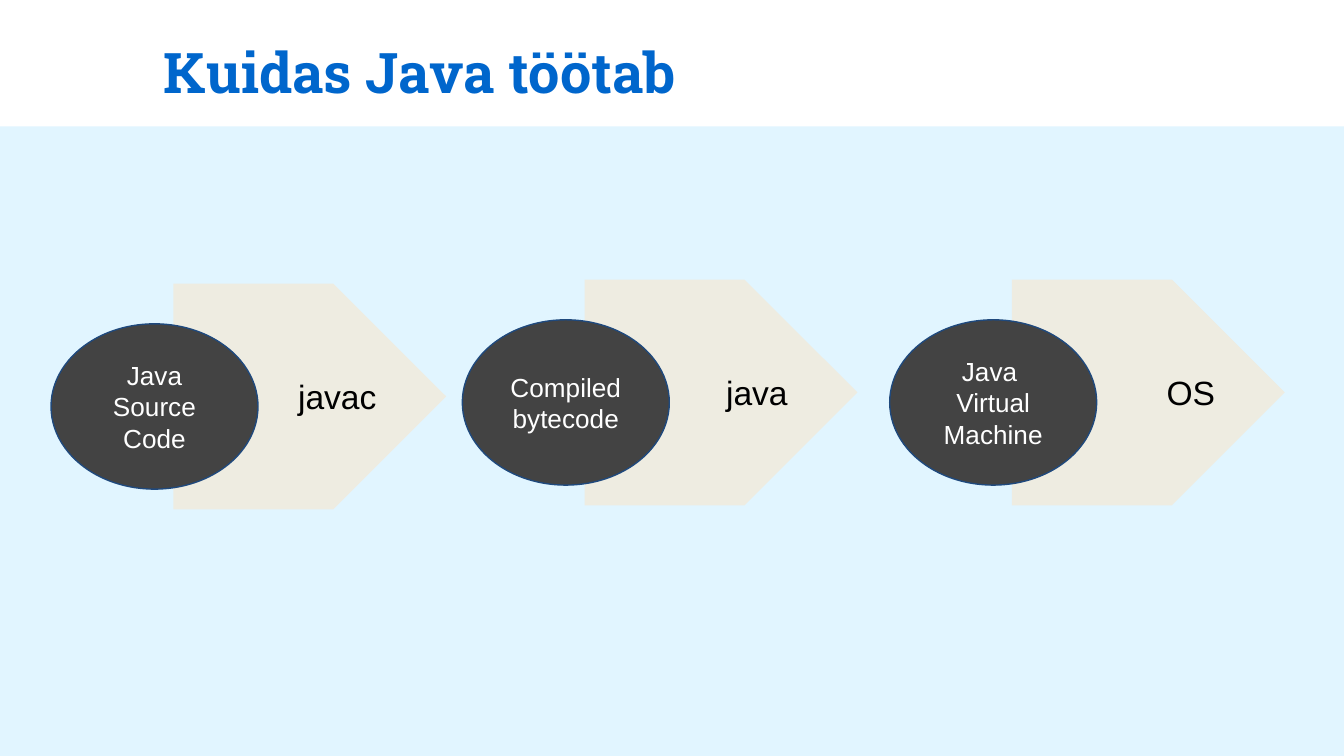
from pptx import Presentation
from pptx.dml.color import RGBColor
from pptx.enum.shapes import MSO_SHAPE
from pptx.enum.text import MSO_ANCHOR, MSO_AUTO_SIZE, PP_ALIGN
from pptx.util import Inches, Pt

RECT = MSO_SHAPE.RECTANGLE
ARROW = MSO_SHAPE.PENTAGON
OVAL = MSO_SHAPE.FLOWCHART_CONNECTOR
MIDDLE = MSO_ANCHOR.MIDDLE
NO_FIT = MSO_AUTO_SIZE.NONE
LEFT, CENTER, RIGHT = PP_ALIGN.LEFT, PP_ALIGN.CENTER, PP_ALIGN.RIGHT

WHITE = RGBColor(0xFF, 0xFF, 0xFF)
BLACK = RGBColor(0x00, 0x00, 0x00)
BLUE = RGBColor(0x00, 0x66, 0xCC)
PALE_BLUE = RGBColor(0xE1, 0xF5, 0xFF)
CREAM = RGBColor(0xEE, 0xEC, 0xE1)
CHARCOAL = RGBColor(0x43, 0x43, 0x43)
NAVY = RGBColor(0x1F, 0x49, 0x7D)

WIDTH = 10
HEIGHT = WIDTH * 9 / 16
HEADER = 0.94
ARROW_SIZE = 2.03, 1.68
OVAL_SIZE = 1.54, 1.23
ARROW_DX, OVAL_DY = 0.91, 0.3
STAGES = [
    (0.38, 2.11, ["Java Source Code"], "javac"),
    (3.44, 2.08, ["Compiled bytecode"], "java"),
    (6.62, 2.08, ["Java ", "Virtual Machine"], "OS"),
]


def place(sp, left, top, width, height):
    """Position a shape, in inches."""
    sp.left, sp.top = Inches(left), Inches(top)
    sp.width, sp.height = Inches(width), Inches(height)


def write(sp, lines, align, font, size, color, insets=(0.1, 0.1, 0.1, 0.1)):
    """Fill a shape with formatted, vertically centred paragraphs."""
    tf = sp.text_frame
    tf.text = "\n".join(lines)
    tf.word_wrap, tf.auto_size, tf.vertical_anchor = True, NO_FIT, MIDDLE
    (tf.margin_left, tf.margin_top,
     tf.margin_right, tf.margin_bottom) = map(Inches, insets)
    for p in tf.paragraphs:
        p.alignment = align
        p.font.name, p.font.size = font, Pt(size)
        p.font.color.rgb = color


def add_block(s, kind, box, fill, line=None):
    """Add a flat preset shape with an optional outline."""
    sp = s.shapes.add_shape(kind, *map(Inches, box))
    sp.shadow.inherit = False
    sp.fill.solid()
    sp.fill.fore_color.rgb = fill
    if line is None:
        sp.line.fill.background()
    else:
        sp.line.color.rgb = line
        sp.line.width = Pt(0.75)
    return sp


def add_panel(s):
    """Add the pale panel below the header, behind everything else."""
    sp = add_block(s, RECT, (0, HEADER, WIDTH, HEIGHT - HEADER), PALE_BLUE)
    sp.element.getparent().insert(2, sp.element)


def set_title(s, text):
    """Place and format the title placeholder."""
    sp = s.shapes.title
    place(sp, 0, 0.02, 8.23, HEADER)
    write(sp, [text], LEFT, "Roboto Slab", 30, BLUE, (1.22, 0.24, 0, 0.16))
    sp.text_frame.paragraphs[0].font.bold = True


def add_stage(s, left, top, source, tool):
    """Add one stage: an arrow naming the tool and an oval over its tail."""
    arrow = add_block(s, ARROW, (left + ARROW_DX, top, *ARROW_SIZE), CREAM)
    write(arrow, [tool], RIGHT, "Arial", 18, BLACK)
    oval = add_block(s, OVAL, (left, top + OVAL_DY, *OVAL_SIZE), CHARCOAL, NAVY)
    write(oval, source, CENTER, "Arial", 14, WHITE)


def main():
    """Build and save the slide."""
    prs = Presentation()
    prs.slide_width, prs.slide_height = Inches(WIDTH), Inches(HEIGHT)
    s = prs.slides.add_slide(prs.slide_layouts[5])
    add_panel(s)
    set_title(s, "Kuidas Java töötab")
    for stage in STAGES:
        add_stage(s, *stage)
    prs.save("out.pptx")


if __name__ == "__main__":
    main()
